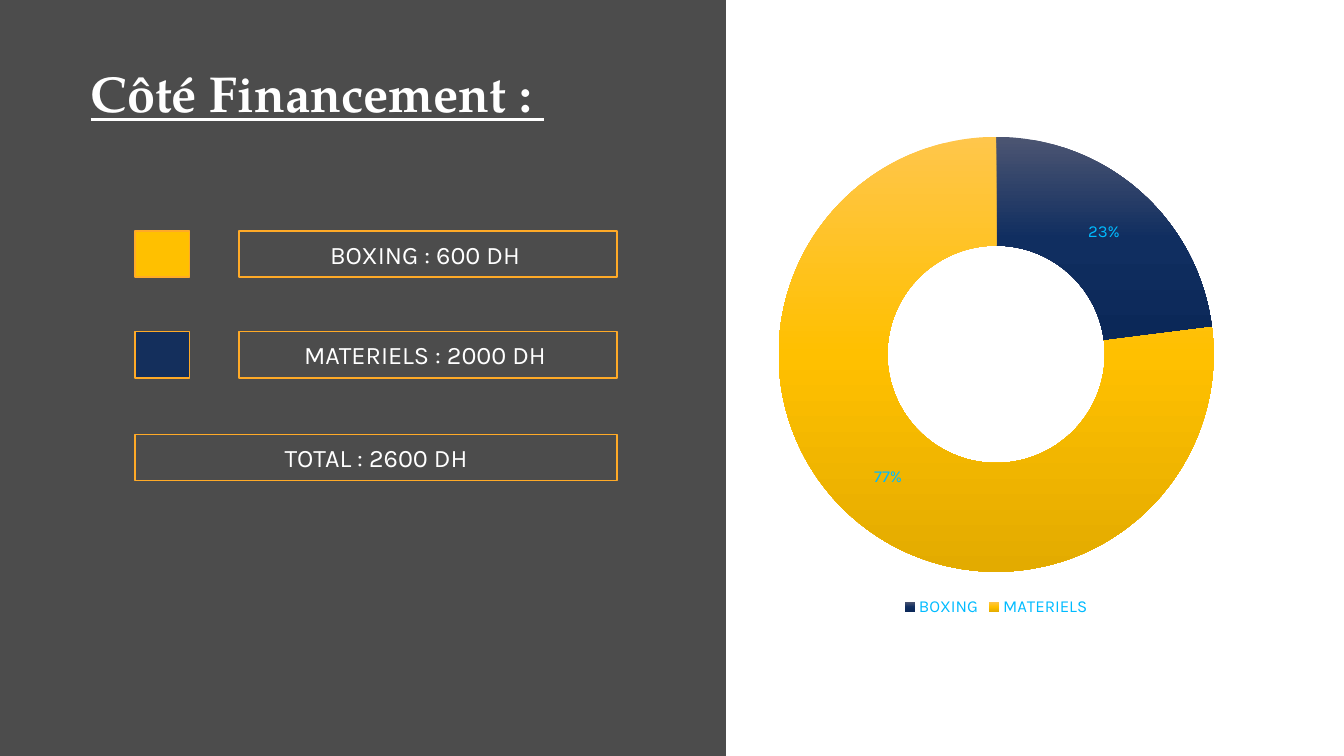
from copy import deepcopy
from dataclasses import dataclass
from typing import Optional

from lxml import etree
from pptx import Presentation
from pptx.chart.data import CategoryChartData
from pptx.dml.color import RGBColor
from pptx.enum.chart import XL_CHART_TYPE, XL_LEGEND_POSITION
from pptx.enum.shapes import MSO_SHAPE
from pptx.enum.text import MSO_ANCHOR, PP_ALIGN
from pptx.oxml.ns import qn
from pptx.util import Inches, Pt

DOUGHNUT = XL_CHART_TYPE.DOUGHNUT
LEGEND_BOTTOM = XL_LEGEND_POSITION.BOTTOM
RECTANGLE = MSO_SHAPE.RECTANGLE
BOTTOM, MIDDLE = MSO_ANCHOR.BOTTOM, MSO_ANCHOR.MIDDLE
CENTER = PP_ALIGN.CENTER


@dataclass(frozen=True)
class Theme:
    """Colours, fonts and type sizes of the slide."""
    white: str = "FFFFFF"
    panel: str = "000000"
    panel_alpha: int = 70
    border: str = "FFAA27"
    yellow: str = "FFC000"
    navy: str = "142F5C"
    chart_text: str = "00BBFF"
    heading_font: str = "TeX Gyre Pagella"
    body_font: str = "Karla"
    title_size: int = 36
    body_size: int = 18
    chart_size: int = 12


@dataclass(frozen=True)
class Cost:
    """One boxed line of the budget, with an optional colour swatch."""
    text: str
    top: float
    swatch: Optional[str] = None


@dataclass(frozen=True)
class Slice:
    """One doughnut slice with its gradient from top to bottom."""
    name: str
    value: Optional[int]
    gradient: tuple[str, str, str]


THEME = Theme()
COSTS = (
    Cost("BOXING : 600 DH ", 2.29, THEME.yellow),
    Cost("MATERIELS : 2000 DH ", 3.29, THEME.navy),
    Cost("TOTAL : 2600 DH", 4.31),
)
SLICES = (
    Slice("", None, ("4B4D56", "001431", "00122C")),
    Slice("", None, ("D8664B", "D14C00", "BA4400")),
    Slice("BOXING", 23, ("4C5572", "102E60", "0B2858")),
    Slice("MATERIELS", 77, ("FFC64B", "FFC000", "E3AB00")),
)
SWATCH_LEFT, SWATCH_WIDTH = 1.34, 0.54
LABEL_LEFT, COSTS_RIGHT = 2.37, 6.12
ROW_HEIGHT = 0.46


def rgb(value: str) -> RGBColor:
    """Return the colour for a hex value."""
    return RGBColor.from_string(value)


def style_font(font, size: int, color: str, name: str = THEME.body_font) -> None:
    """Set the typeface, size and colour of a font."""
    font.name = name
    font.size = Pt(size)
    font.color.rgb = rgb(color)


def add_rect(slide, left: float, top: float, width: float, height: float,
             fill: Optional[str] = None, line: Optional[str] = None):
    """Draw a flat rectangle and return it."""
    sp = slide.shapes.add_shape(RECTANGLE, Inches(left), Inches(top),
                                Inches(width), Inches(height))
    sp.shadow.inherit = False
    if fill:
        sp.fill.solid()
        sp.fill.fore_color.rgb = rgb(fill)
    else:
        sp.fill.background()
    if line:
        sp.line.color.rgb = rgb(line)
        sp.line.width = Pt(1)
    else:
        sp.line.fill.background()
    return sp


def add_panel(slide) -> None:
    """Draw the translucent dark panel on the left."""
    sp = add_rect(slide, 0, 0, 7.2, 7.5, fill=THEME.panel)
    color = sp.element.spPr.find(qn("a:solidFill"))[0]
    etree.SubElement(color, qn("a:alpha"), val=str(THEME.panel_alpha * 1000))


def add_title(slide, text: str) -> None:
    """Write the underlined slide title."""
    sp = slide.shapes.add_textbox(Inches(0.9), Inches(0.57),
                                  Inches(5.02), Inches(0.65))
    tf = sp.text_frame
    tf.word_wrap = True
    tf.vertical_anchor = BOTTOM
    tf.margin_left = tf.margin_top = tf.margin_right = tf.margin_bottom = 0
    p = tf.paragraphs[0]
    p.text = text
    p.line_spacing = 0.9
    style_font(p.font, THEME.title_size, THEME.white, THEME.heading_font)
    p.font.bold = p.font.underline = True


def add_cost(slide, cost: Cost) -> None:
    """Draw one budget line; without a swatch the box spans the full width."""
    left = SWATCH_LEFT
    if cost.swatch:
        add_rect(slide, SWATCH_LEFT, cost.top, SWATCH_WIDTH, ROW_HEIGHT,
                 fill=cost.swatch, line=THEME.border)
        left = LABEL_LEFT
    sp = add_rect(slide, left, cost.top, COSTS_RIGHT - left, ROW_HEIGHT,
                  line=THEME.border)
    tf = sp.text_frame
    tf.vertical_anchor = MIDDLE
    p = tf.paragraphs[0]
    p.text = cost.text
    p.alignment = CENTER
    style_font(p.font, THEME.body_size, THEME.white)


def fill_slice(point, colors: tuple[str, str, str]) -> None:
    """Give a slice a vertical gradient with three even stops."""
    fill = point.format.fill
    fill.gradient_angle = 270
    point.format.line.fill.background()
    for i, (stop, color) in enumerate(zip(fill.gradient_stops, colors)):
        stop.position = i / 2
        stop.color.rgb = rgb(color)


def hide_unnamed_entries(chart) -> None:
    """Keep slices without a name out of the legend."""
    anchor = next(chart.element.iter(qn("c:legendPos")))
    for i, part in enumerate(SLICES):
        if not part.name:
            entry = etree.Element(qn("c:legendEntry"))
            etree.SubElement(entry, qn("c:idx"), val=str(i))
            etree.SubElement(entry, qn("c:delete"), val="1")
            anchor.addnext(entry)
            anchor = entry


def add_doughnut(slide) -> None:
    """Add the doughnut chart of cost shares."""
    data = CategoryChartData()
    data.categories = [s.name for s in SLICES]
    data.add_series("Series 1", [s.value for s in SLICES])
    chart = slide.shapes.add_chart(DOUGHNUT, Inches(7.22), Inches(1.22),
                                   Inches(5.32), Inches(4.94), data).chart
    style_font(chart.font, THEME.chart_size, THEME.chart_text)
    chart.has_title = False
    chart.has_legend = True
    chart.legend.position = LEGEND_BOTTOM
    chart.legend.include_in_layout = False
    style_font(chart.legend.font, THEME.chart_size, THEME.chart_text)
    hide_unnamed_entries(chart)

    plot = chart.plots[0]
    plot.vary_by_categories = True
    plot.has_data_labels = True
    labels = plot.data_labels
    labels.show_percentage = True
    labels.show_value = False
    style_font(labels.font, THEME.chart_size, THEME.chart_text)

    points = [plot.series[0].points[i] for i in range(len(SLICES))]
    for point in points:
        point.format.fill.gradient()
    for stops in chart.element.iter(qn("a:gsLst")):
        stops.append(deepcopy(stops[-1]))
    for point, part in zip(points, SLICES):
        fill_slice(point, part.gradient)
    next(chart.element.iter(qn("c:holeSize"))).set("val", "75")


def main() -> None:
    """Build the financing slide and save it."""
    prs = Presentation()
    prs.slide_width, prs.slide_height = Inches(13.33), Inches(7.5)
    slide = prs.slides.add_slide(prs.slide_layouts[6])
    add_panel(slide)
    add_title(slide, "Côté Financement : ")
    add_doughnut(slide)
    for cost in COSTS:
        add_cost(slide, cost)
    prs.save("out.pptx")


if __name__ == "__main__":
    main()
